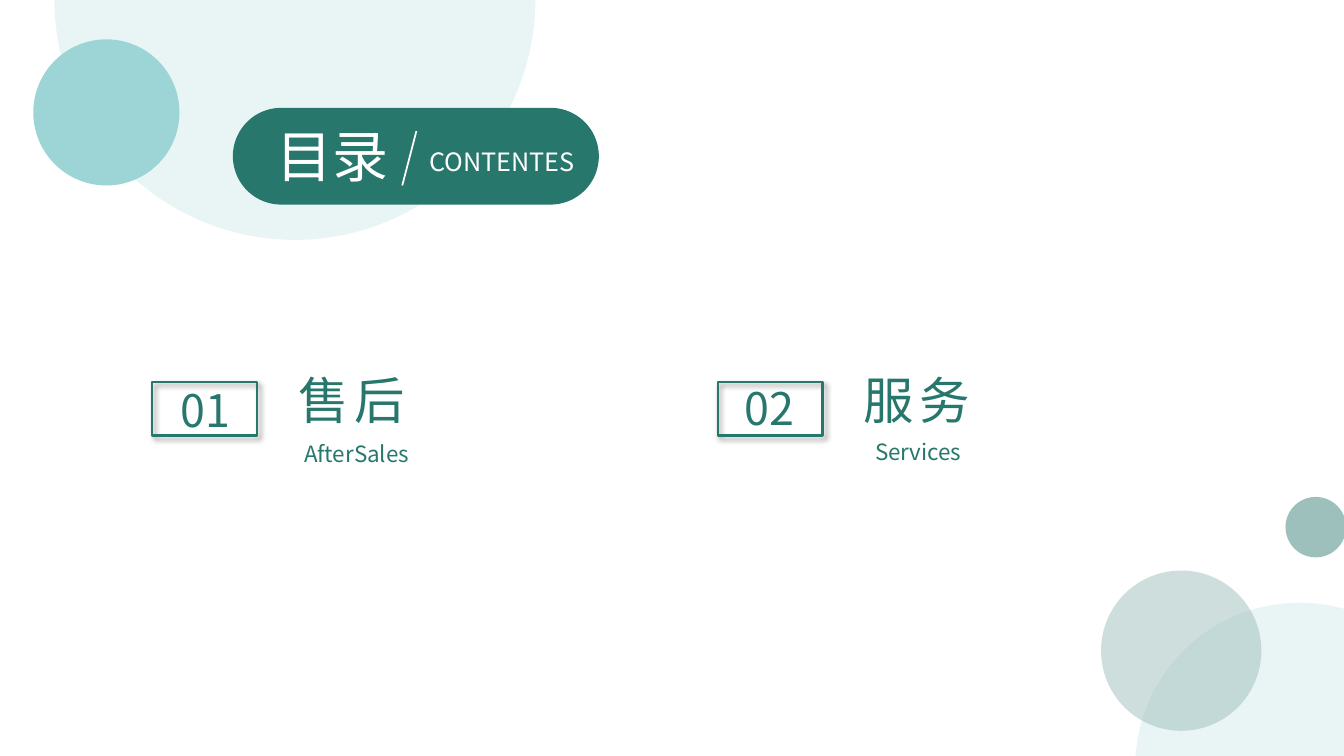
from dataclasses import dataclass

from lxml import etree
from pptx import Presentation
from pptx.dml.color import RGBColor
from pptx.enum.shapes import MSO_CONNECTOR, MSO_SHAPE
from pptx.enum.text import MSO_ANCHOR, MSO_AUTO_SIZE, PP_ALIGN
from pptx.oxml import parse_xml
from pptx.oxml.ns import nsdecls, qn
from pptx.util import Inches, Pt

ELLIPSE, PILL, RECT = MSO_SHAPE.OVAL, MSO_SHAPE.ROUNDED_RECTANGLE, MSO_SHAPE.RECTANGLE
STRAIGHT = MSO_CONNECTOR.STRAIGHT
TOP, GROW = MSO_ANCHOR.TOP, MSO_AUTO_SIZE.SHAPE_TO_FIT_TEXT
LEFT, CENTER = PP_ALIGN.LEFT, PP_ALIGN.CENTER

FONT = "Noto Sans CJK SC"
COLORS = {
    "green": "27776D",
    "mist": "E9F5F5",
    "aqua": "9DD5D6",
    "sage": "9DC0BC",
    "white": "FFFFFF",
}


@dataclass
class Circle:
    left: float
    top: float
    size: float
    color: str
    opacity: int = 100


@dataclass
class Section:
    left: float
    number: str
    name: str
    english: str
    number_box: tuple[float, float]
    english_box: tuple[float, float]


UPPER_CIRCLES = [
    Circle(0.54, -2.39, 4.77, "mist"),
    Circle(0.33, 0.39, 1.45, "aqua"),
]
LOWER_CIRCLES = [
    Circle(11.26, 5.98, 3.26, "mist"),
    Circle(12.75, 4.93, 0.6, "sage"),
    Circle(10.92, 5.66, 1.59, "sage", 51),
]
SECTIONS = [
    Section(1.51, "01", "售后", "AfterSales", (1.54, 3.75), (2.92, 4.32)),
    Section(7.12, "02", "服务", "Services", (7.14, 3.73), (8.58, 4.3)),
]


def rgb(name: str) -> RGBColor:
    return RGBColor.from_string(COLORS[name])


def add_filled(slide, kind, left: float, top: float, width: float, height: float, color: str):
    shape = slide.shapes.add_shape(kind, Inches(left), Inches(top), Inches(width), Inches(height))
    shape.shadow.inherit = False
    shape.fill.solid()
    shape.fill.fore_color.rgb = rgb(color)
    shape.line.fill.background()
    return shape


def add_circle(slide, circle: Circle) -> None:
    shape = add_filled(slide, ELLIPSE, circle.left, circle.top, circle.size, circle.size, circle.color)
    if circle.opacity < 100:
        fill_color = shape.element.spPr.find(qn("a:solidFill"))[0]
        etree.SubElement(fill_color, qn("a:alpha")).set("val", str(circle.opacity * 1000))


def write_text(box, text: str, *, size: int, color: str = "green", align=LEFT, spacing: int = 0) -> None:
    frame = box.text_frame
    frame.word_wrap = True
    frame.auto_size = GROW
    frame.vertical_anchor = TOP
    paragraph = frame.paragraphs[0]
    paragraph.alignment = align
    run = paragraph.add_run()
    run.text = text
    run.font.size = Pt(size)
    run.font.color.rgb = rgb(color)
    run.font.name = FONT
    properties = run.font._element if hasattr(run.font, "_element") else run._r.get_or_add_rPr()
    etree.SubElement(properties, qn("a:ea")).set("typeface", FONT)
    if spacing:
        properties.set("spc", str(spacing * 100))


def add_text(slide, text: str, left: float, top: float, width: float, height: float, **style) -> None:
    box = slide.shapes.add_textbox(Inches(left), Inches(top), Inches(width), Inches(height))
    write_text(box, text, **style)


def add_heading(slide) -> None:
    pill = add_filled(slide, PILL, 2.31, 1.07, 3.63, 0.96, "green")
    pill.adjustments[0] = 0.5

    title = slide.shapes.title
    title.left, title.top, title.width, title.height = map(Inches, (2.64, 1.16, 1.35, 0.77))
    write_text(title, "目录", size=40, color="white")
    title.element.getparent().append(title.element)  # bring in front of the pill

    slash = slide.shapes.add_connector(STRAIGHT, Inches(3.99), Inches(1.84), Inches(4.13), Inches(1.3))
    slash.line.color.rgb = rgb("white")
    slash.line.width = Pt(1.25)
    etree.SubElement(slash.element.spPr, qn("a:effectLst"))

    add_text(slide, "CONTENTES", 4.16, 1.4, 1.94, 0.4, size=18, color="white")


def add_section(slide, section: Section) -> None:
    # Outlined number frame with a soft shadow
    frame = slide.shapes.add_shape(RECT, Inches(section.left), Inches(3.79), Inches(1.04), Inches(0.53))
    frame.fill.background()
    frame.line.color.rgb = rgb("green")
    frame.line.width = Pt(1.75)
    frame.element.spPr.append(parse_xml(
        f'<a:effectLst {nsdecls("a")}>'
        f'<a:outerShdw blurRad="{Pt(4)}" dist="{Pt(3)}" dir="2700000" algn="tl" rotWithShape="0">'
        '<a:srgbClr val="000000"><a:alpha val="40000"/></a:srgbClr>'
        '</a:outerShdw></a:effectLst>'
    ))
    add_text(slide, section.number, *section.number_box, 0.99, 0.64, size=32, align=CENTER)

    # Section name and its translation
    add_text(slide, section.name, section.left + 1.35, 3.61, 3.78, 0.71, size=36, spacing=4)
    add_text(slide, section.english, *section.english_box, 3.52, 0.37, size=16)


def main() -> None:
    deck = Presentation()
    deck.slide_width, deck.slide_height = Inches(13.33), Inches(7.5)
    slide = deck.slides.add_slide(deck.slide_layouts[5])

    for circle in UPPER_CIRCLES:
        add_circle(slide, circle)
    add_heading(slide)
    for section in SECTIONS:
        add_section(slide, section)
    for circle in LOWER_CIRCLES:
        add_circle(slide, circle)

    deck.save("out.pptx")


if __name__ == "__main__":
    main()
